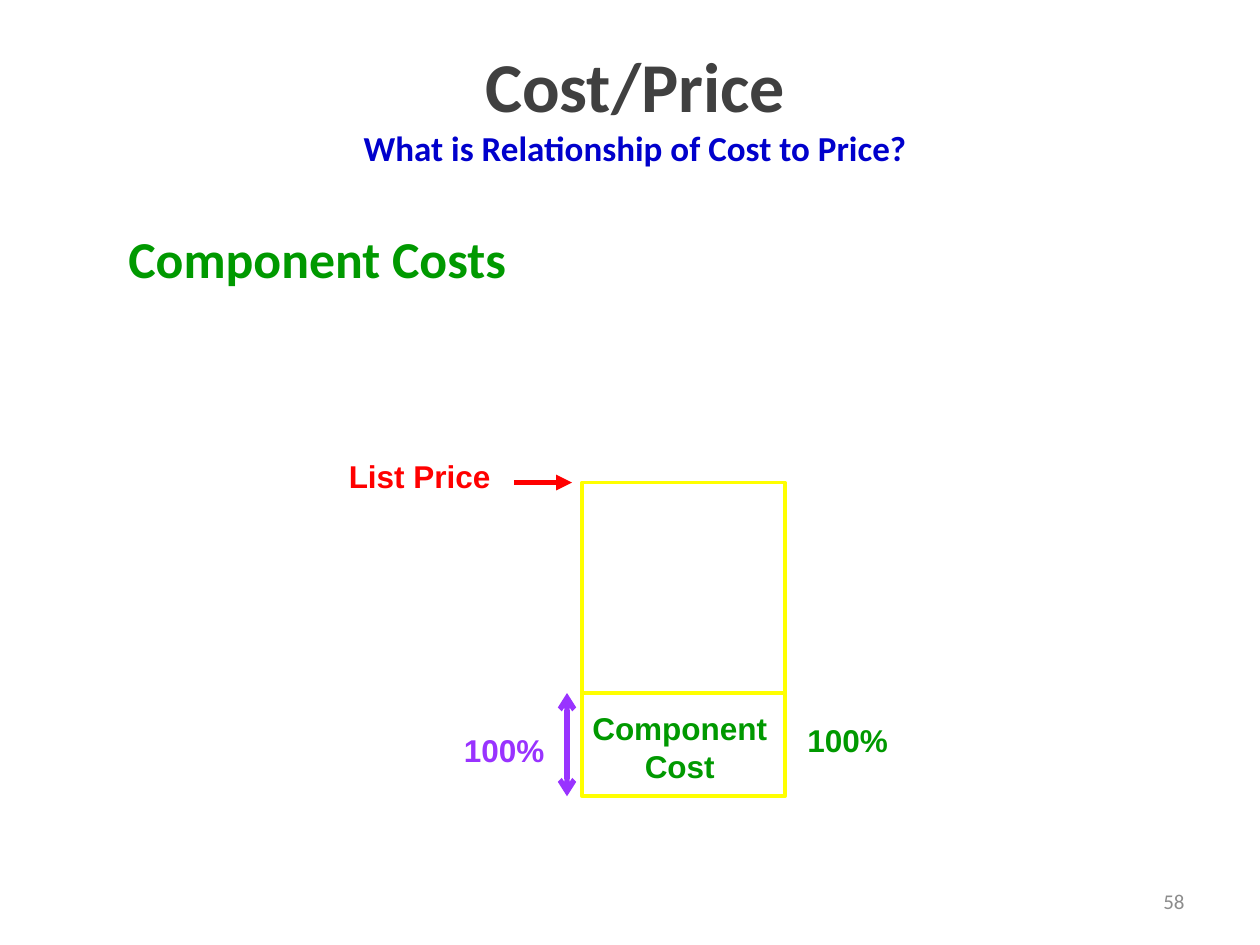
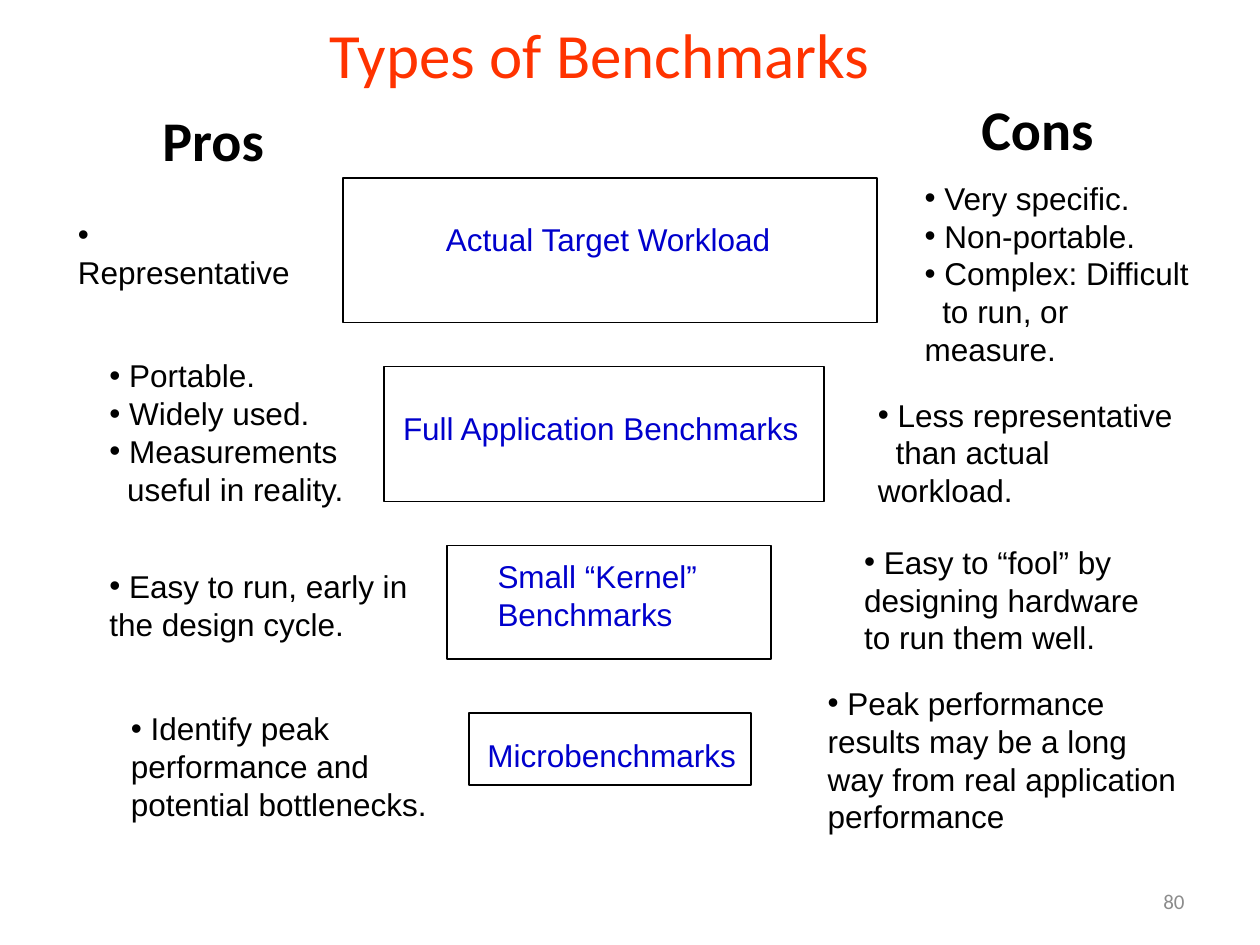
from lxml.etree import SubElement
from pptx import Presentation
from pptx.dml.color import RGBColor
from pptx.enum.shapes import MSO_CONNECTOR, MSO_SHAPE
from pptx.enum.text import MSO_ANCHOR, PP_ALIGN
from pptx.oxml.ns import qn
from pptx.util import Inches, Pt

BLACK = RGBColor(0x00, 0x00, 0x00)
DARK_GRAY = RGBColor(0x40, 0x40, 0x40)
PAGE_GRAY = RGBColor(0x8C, 0x8C, 0x8C)
BLUE = RGBColor(0x00, 0x00, 0xCC)
GREEN = RGBColor(0x00, 0x99, 0x00)
RED = RGBColor(0xFF, 0x00, 0x00)
ORANGE = RGBColor(0xFF, 0x33, 0x00)
PURPLE = RGBColor(0x99, 0x33, 0xFF)
YELLOW = RGBColor(0xFF, 0xFF, 0x00)


def add_text(slide, at, text, color, size=18, font="Arial", bold=False,
             align=PP_ALIGN.LEFT, wrap=False):
    """Add a text box at (left, top, width, height); each line is a paragraph."""
    frame = slide.shapes.add_textbox(*map(Inches, at)).text_frame
    frame.word_wrap = wrap
    frame.text = text
    for paragraph in frame.paragraphs:
        paragraph.alignment = align
        for run in paragraph.runs:
            run.font.name = font
            run.font.size = Pt(size)
            run.font.bold = bold
            run.font.color.rgb = color
    return frame


def add_outline(slide, at, color, width):
    """Add an unfilled rectangle at (left, top, width, height)."""
    shape = slide.shapes.add_shape(MSO_SHAPE.RECTANGLE, *map(Inches, at))
    shape.shadow.inherit = False
    shape.fill.background()
    shape.line.color.rgb = color
    shape.line.width = Pt(width)


presentation = Presentation()
presentation.slide_width = Inches(10)
presentation.slide_height = Inches(7.5)
blank = presentation.slide_layouts[6]
cost_slide = presentation.slides.add_slide(blank)
benchmark_slide = presentation.slides.add_slide(blank)

for slide, number in ((cost_slide, "58"), (benchmark_slide, "80")):
    page = add_text(slide, (7.17, 6.95, 2.33, 0.4), number, PAGE_GRAY, 12,
                    "Calibri", align=PP_ALIGN.RIGHT, wrap=True)
    page.vertical_anchor = MSO_ANCHOR.MIDDLE

# Cost and price
title = add_text(cost_slide, (0.83, 0.17, 8.42, 1.33),
                 "Cost/Price\vWhat is Relationship of Cost to Price?",
                 DARK_GRAY, 40, "Calibri", True, PP_ALIGN.CENTER, True)
title.vertical_anchor = MSO_ANCHOR.MIDDLE
subtitle = title.paragraphs[0].runs[1]
subtitle.font.size = Pt(20)
subtitle.font.color.rgb = BLUE
add_text(cost_slide, (0.92, 1.75, 7.32, 0.51), "Component Costs", GREEN, 29.6,
         "Calibri", True, wrap=True)

BAR_LEFT, BAR_WIDTH = 4.62, 1.61
LIST_PRICE_Y, COMPONENT_Y, BAR_BOTTOM = 3.83, 5.5, 6.32
for top, bottom in ((LIST_PRICE_Y, COMPONENT_Y), (COMPONENT_Y, BAR_BOTTOM)):
    add_outline(cost_slide, (BAR_LEFT, top, BAR_WIDTH, bottom - top), YELLOW, 2.25)

for at, text, color, align in (
    ((2.67, 3.58, 1.33, 0.4), "List Price", RED, PP_ALIGN.LEFT),
    ((6.31, 5.67, 0.84, 0.4), "100%", GREEN, PP_ALIGN.LEFT),
    ((4.6, 5.58, 1.59, 0.7), "Component\nCost", GREEN, PP_ALIGN.CENTER),
    ((3.58, 5.75, 0.84, 0.4), "100%", PURPLE, PP_ALIGN.RIGHT),
):
    add_text(cost_slide, at, text, color, bold=True, align=align)

for ends, color, heads in (
    ((4.08, LIST_PRICE_Y, 4.54, LIST_PRICE_Y), RED, {"a:tailEnd": "triangle"}),
    ((4.5, COMPONENT_Y, 4.5, BAR_BOTTOM), PURPLE,
     {"a:headEnd": "arrow", "a:tailEnd": "arrow"}),
):
    arrow = cost_slide.shapes.add_connector(MSO_CONNECTOR.STRAIGHT, *map(Inches, ends))
    arrow.line.color.rgb = color
    arrow.line.width = Pt(3)
    line = arrow.line._get_or_add_ln()
    for tag, kind in heads.items():
        SubElement(line, qn(tag), type=kind)
    SubElement(arrow._element.spPr, qn("a:effectLst"))

# Types of benchmarks
heading = add_text(benchmark_slide, (1.72, 0.19, 6.08, 0.62), "Types of Benchmarks",
                   ORANGE, 36, "Calibri", align=PP_ALIGN.CENTER, wrap=True)
heading.paragraphs[0].line_spacing = 0.8
add_text(benchmark_slide, (1.19, 0.79, 1.06, 0.63), "Pros", BLACK, 32, "Calibri", True)
add_text(benchmark_slide, (7.69, 0.7, 1.16, 0.63), "Cons", BLACK, 32, "Calibri", True)

for box, label_at, label in (
    ((2.72, 1.41, 4.24, 1.15), (3.44, 1.7, 2.81, 0.4), "Actual Target Workload"),
    ((3.05, 2.91, 3.49, 1.07), (3.1, 3.2, 3.35, 0.4), "Full Application Benchmarks"),
    ((3.55, 4.33, 2.57, 0.9), (3.85, 4.37, 1.85, 0.7), "Small “Kernel”\nBenchmarks"),
    ((3.72, 5.66, 2.24, 0.57), (3.77, 5.79, 2.17, 0.4), "Microbenchmarks"),
):
    add_outline(benchmark_slide, box, BLACK, 1)
    add_text(benchmark_slide, label_at, label, BLUE)

# Lines that open with a space get a bullet; the others continue the one above
for at, text in (
    ((0.52, 1.66, 1.9, 0.7), " Representative"),
    ((0.77, 2.78, 2.23, 1.3),
     " Portable.\n Widely used.\n Measurements\nuseful in reality."),
    ((0.77, 4.45, 2.59, 0.7), " Easy to run, early in the design cycle."),
    ((0.94, 5.58, 2.68, 1), " Identify peak performance and potential bottlenecks."),
    ((7.24, 1.37, 2.4, 1.6),
     " Very specific.\n Non-portable.\n Complex: Difficult\nto run, or measure."),
    ((6.87, 3.09, 2.6, 1), " Less representative\nthan actual workload."),
    ((6.76, 4.26, 2.43, 1), " Easy to “fool” by designing hardware to run them well."),
    ((6.47, 5.38, 3.01, 1.3),
     " Peak performance results may be a long way from real application performance"),
):
    frame = add_text(benchmark_slide, at, text, BLACK, wrap=True)
    for paragraph in frame.paragraphs:
        properties = paragraph._p.get_or_add_pPr()
        properties.set("marL", "0")
        if paragraph.text.startswith(" "):
            properties.set("indent", "0")
            SubElement(properties, qn("a:buFont"), typeface="Arial")
            SubElement(properties, qn("a:buChar"), char="•")
        else:
            properties.set("indent", str(Inches(0.14)))

presentation.save("out.pptx")
